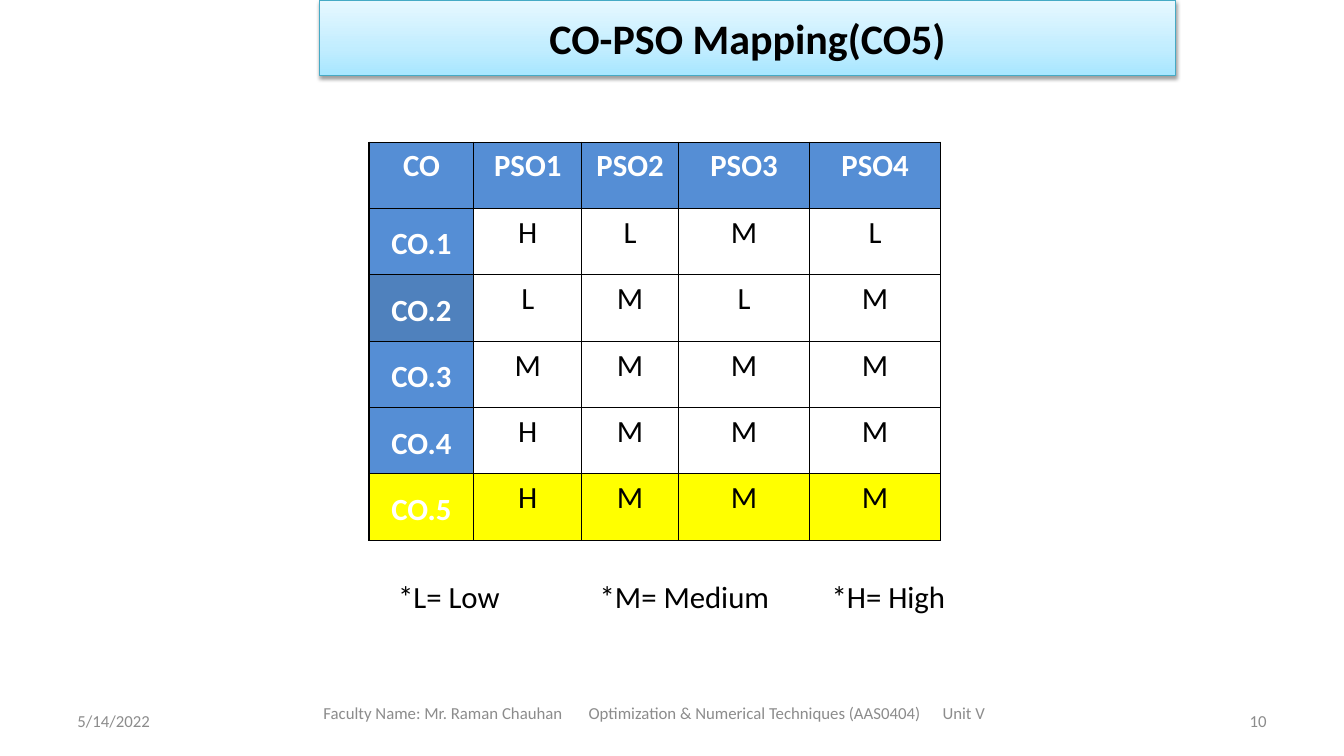
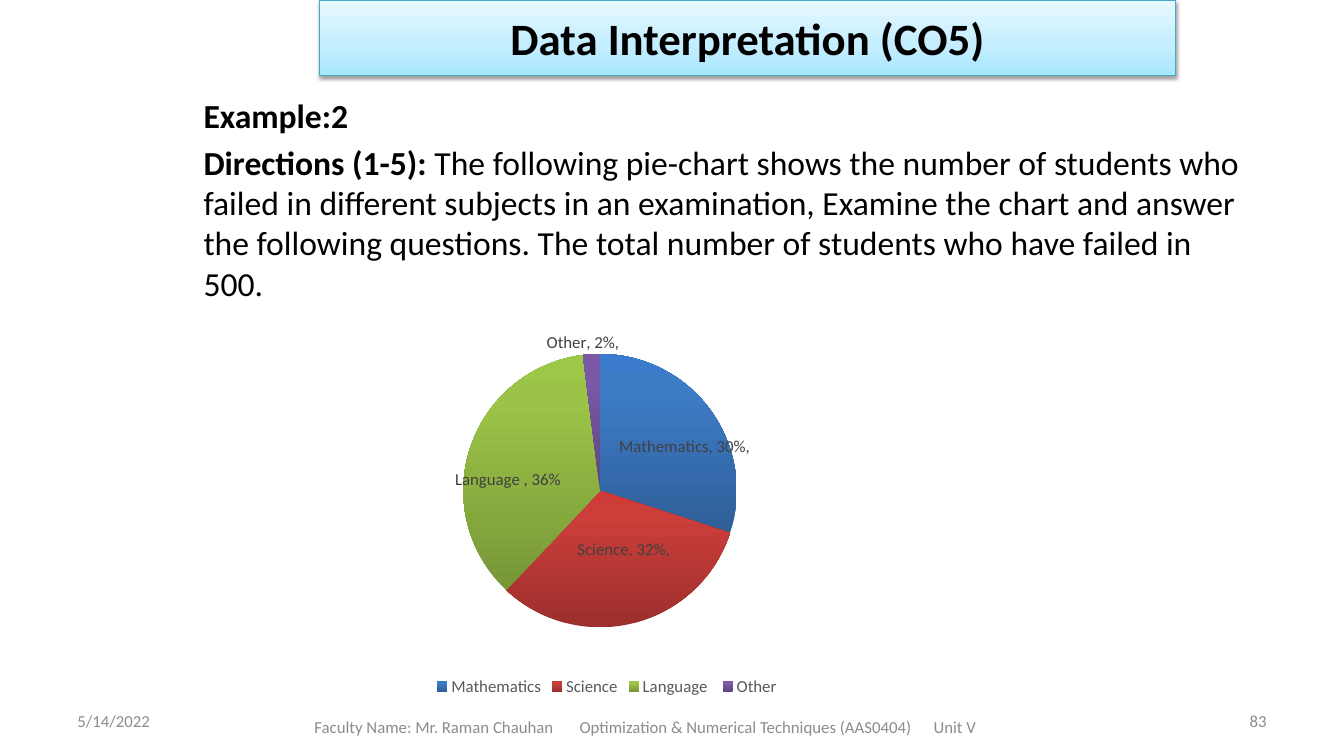
from copy import deepcopy
from dataclasses import dataclass

from lxml.etree import SubElement
from pptx import Presentation
from pptx.chart.data import CategoryChartData
from pptx.dml.color import RGBColor
from pptx.enum.chart import XL_CHART_TYPE, XL_LABEL_POSITION, XL_LEGEND_POSITION
from pptx.enum.shapes import MSO_SHAPE
from pptx.enum.text import MSO_ANCHOR, PP_ALIGN
from pptx.oxml import parse_xml
from pptx.oxml.ns import nsdecls, qn
from pptx.util import Inches, Pt


@dataclass(frozen=True)
class Theme:
    """Colours and type sizes shared by the slides."""
    font: str = "Calibri"
    black: str = "000000"
    white: str = "FFFFFF"
    footer_grey: str = "8C8C8C"
    legend_grey: str = "595959"
    label_grey: str = "404040"
    band_line: str = "46AAC5"
    band_stops: tuple = ((0, "A7E6FF"), (0.35, "C1EDFF"), (1, "E7F8FF"))
    head_blue: str = "558ED5"
    dark_blue: str = "4F81BD"
    highlight: str = "FFFF00"
    small: int = 12
    grid: int = 22
    body: int = 24


THEME = Theme()
COURSE = ("Faculty Name: Mr. Raman Chauhan",
          "Optimization & Numerical Techniques (AAS0404)", "Unit V")
RATINGS = {"CO": ("PSO1", "PSO2", "PSO3", "PSO4"), "CO.1": "HLML", "CO.2": "LMLM",
           "CO.3": "MMMM", "CO.4": "HMMM", "CO.5": "HMMM"}
SUBJECTS = (
    ("Mathematics", 0.3, "Mathematics, 30%, ", (0.07, 0.06), ("2F5F99", "3D7CC7", "3A7CCB")),
    ("Science", 0.32, "Science, 32%, ", (0.06, -0.15), ("9C2F2D", "CB3E3A", "CE3B37")),
    ("Language ", 0.36, "Language , 36%", (-0.03, 0.05), ("779737", "9BC348", "9DC746")),
    ("Other", 0.02, "Other, 2%, ", (-0.01, -0.07), ("5F4480", "7B58A6", "7C57A8")),
)


def style_font(font, size, color, bold=False):
    """Apply the theme typeface with a size, colour and weight."""
    for name, value in {"name": THEME.font, "size": Pt(size), "bold": bold}.items():
        setattr(font, name, value)
    font.color.rgb = RGBColor.from_string(color)


def write(paragraph, words, size, color=THEME.black, bold=False, align=PP_ALIGN.LEFT):
    """Add a styled run to a paragraph."""
    paragraph.alignment = align
    run = paragraph.add_run()
    run.text = words
    style_font(run.font, size, color, bold)


def set_tabs(paragraph, stops):
    """Give a paragraph left tab stops, in inches."""
    tabs = SubElement(paragraph._p.get_or_add_pPr(), qn("a:tabLst"))
    for stop in stops:
        SubElement(tabs, qn("a:tab"), pos=str(Inches(stop)), algn="l")


def add_text_area(slide, box, anchor=MSO_ANCHOR.MIDDLE):
    """Add a wrapping text area and return its frame."""
    frame = slide.shapes.add_textbox(*map(Inches, box)).text_frame
    frame.word_wrap = True
    frame.vertical_anchor = anchor
    return frame


def paint_gradient(fill, stops):
    """Fill upwards through three colour stops."""
    fill.gradient()
    fill.gradient_angle = 90
    stop_list = fill.gradient_stops._gsLst
    stop_list.insert(1, deepcopy(stop_list[0]))
    for stop, (position, color) in zip(fill.gradient_stops, stops):
        stop.position = position
        stop.color.rgb = RGBColor.from_string(color)


def add_title_band(slide, box, title, size):
    """Draw the shaded title band."""
    band = slide.shapes.add_shape(MSO_SHAPE.RECTANGLE, *map(Inches, box))
    paint_gradient(band.fill, THEME.band_stops)
    band.line.color.rgb = RGBColor.from_string(THEME.band_line)
    band.line.width = Pt(0.75)
    band.shadow.inherit = False
    effects = band._element.spPr.find(qn("a:effectLst"))
    effects.append(parse_xml(
        f'<a:outerShdw {nsdecls("a")} blurRad="{Pt(3.1)}" dist="{Pt(1.6)}" dir="5400000" '
        f'rotWithShape="0"><a:srgbClr val="{THEME.black}"><a:alpha val="38000"/>'
        '</a:srgbClr></a:outerShdw>'))
    band.text_frame.vertical_anchor = MSO_ANCHOR.MIDDLE
    write(band.text_frame.paragraphs[0], title, size, bold=True, align=PP_ALIGN.CENTER)


def add_footer(slide, number, course_box):
    """Place the date, course line and slide number."""
    for left, words, align in ((0.67, "5/14/2022", PP_ALIGN.LEFT),
                               (9.55, number, PP_ALIGN.RIGHT)):
        frame = add_text_area(slide, (left, 6.95, 3.11, 0.4))
        write(frame.paragraphs[0], words, THEME.small, THEME.footer_grey, align=align)
    course = add_text_area(slide, course_box).paragraphs[0]
    set_tabs(course, (2.63, 6.14))
    write(course, "\t".join(COURSE), THEME.small, THEME.footer_grey)


def add_framed_slide(deck, title, size, number, course_box):
    """Start a blank slide with the shared band and footer."""
    slide = deck.slides.add_slide(deck.slide_layouts[6])
    add_title_band(slide, (3.17, 0, 8.49, 0.75), title, size)
    add_footer(slide, number, course_box)
    return slide


def style_cell(cell, words, fill, heading, anchor):
    """Write, border and fill one table cell."""
    margins = {"margin_left": 0.07, "margin_right": 0.07, "margin_top": 0, "margin_bottom": 0}
    for name, value in margins.items():
        setattr(cell, name, Inches(value))
    cell.vertical_anchor = anchor
    properties = cell._tc.get_or_add_tcPr()
    for side in ("lnL", "lnR", "lnT", "lnB"):
        properties.append(parse_xml(
            f'<a:{side} {nsdecls("a")} w="{Pt(1)}"><a:solidFill>'
            f'<a:srgbClr val="{THEME.black}"/></a:solidFill></a:{side}>'))
    cell.fill.solid()
    cell.fill.fore_color.rgb = RGBColor.from_string(fill)
    paragraph = cell.text_frame.paragraphs[0]
    paragraph.line_spacing = 1.15
    write(paragraph, words, THEME.grid, THEME.white if heading else THEME.black,
          heading, PP_ALIGN.CENTER)


def add_ratings_table(slide, box):
    """Draw the outcome ratings in a grid."""
    table = slide.shapes.add_table(len(RATINGS), 5, *map(Inches, box)).table
    for column, width in zip(table.columns, (1.04, 1.07, 0.96, 1.3, 1.3)):
        column.width = Inches(width)
    row_fills = {"CO": THEME.head_blue, "CO.5": THEME.highlight}
    outcome_fills = {"CO.2": THEME.dark_blue, "CO.5": THEME.highlight}
    for row, (outcome, ratings) in enumerate(RATINGS.items()):
        table.rows[row].height = Inches(box[3] / len(RATINGS))
        for column, words in enumerate((outcome, *ratings)):
            first = column == 0
            fill = (outcome_fills.get(outcome, THEME.head_blue) if first
                    else row_fills.get(outcome, THEME.white))
            anchor = MSO_ANCHOR.MIDDLE if first and row else MSO_ANCHOR.TOP
            style_cell(table.cell(row, column), words, fill, first or row == 0, anchor)


def add_rating_key(slide, box):
    """Explain the rating letters below the grid."""
    key = add_text_area(slide, box).paragraphs[0]
    set_tabs(key, (2, 4.3))
    write(key, "*L= Low\t*M= Medium\t*H= High", THEME.grid)


def add_directions(slide, box):
    """Write the example heading and its directions."""
    frame = add_text_area(slide, box, MSO_ANCHOR.TOP)
    write(frame.paragraphs[0], "Example:2", THEME.body, bold=True)
    directions = frame.add_paragraph()
    directions.space_before = Pt(4.8)
    write(directions, "Directions (1-5): ", THEME.body, bold=True)
    write(directions, "The following pie-chart shows the number of students who failed in "
          "different subjects in an examination, Examine the chart and answer the following "
          "questions. The total number of students who have failed in 500.", THEME.body)


def manual_layout(inner):
    """Build a chart layout element from its settings."""
    return parse_xml(f'<c:layout {nsdecls("c")}><c:manualLayout>{inner}'
                     '</c:manualLayout></c:layout>')


def layout_values(**fractions):
    """List layout fractions as chart markup."""
    return "".join(f'<c:{name} val="{value}"/>' for name, value in fractions.items())


def place_plot(chart, **fractions):
    """Fix the inner plot area as fractions of the chart."""
    area = chart._chartSpace.chart.plotArea
    for layout in area.findall(qn("c:layout")):
        area.remove(layout)
    area.insert(0, manual_layout(
        layout_values(layoutTarget="inner", xMode="edge", yMode="edge", **fractions)))


def add_slice_label(point, caption, shift):
    """Caption a slice and shift it by fractions of the chart."""
    label = point.data_label
    label.text_frame.word_wrap = False
    write(label.text_frame.paragraphs[0], caption, THEME.small, THEME.label_grey,
          align=PP_ALIGN.CENTER)
    label.position = XL_LABEL_POSITION.INSIDE_END
    element = label._dLbl
    for layout in element.findall(qn("c:layout")):
        element.remove(layout)
    element.insert(1, manual_layout(layout_values(x=shift[0], y=shift[1])))


def add_failures_pie(slide, box):
    """Chart the share of failures by subject."""
    data = CategoryChartData(number_format="0%")
    data.categories = [subject for subject, *_ in SUBJECTS]
    data.add_series("Series 1", [share for _, share, *_ in SUBJECTS])
    chart = slide.shapes.add_chart(XL_CHART_TYPE.PIE, *map(Inches, box), data).chart
    style_font(chart.font, 10, THEME.black)
    chart.has_title = False
    chart.has_legend = True
    chart.legend.position = XL_LEGEND_POSITION.BOTTOM
    chart.legend.include_in_layout = False
    style_font(chart.legend.font, THEME.small, THEME.legend_grey)
    place_plot(chart, x=0.29, y=0.1, w=0.4, h=0.71)
    plot = chart.plots[0]
    plot.vary_by_categories = True
    series = plot.series[0]
    shown = {"show_value": True, "show_percentage": True, "show_category_name": True,
             "number_format": "0%", "number_format_is_linked": False,
             "position": XL_LABEL_POSITION.INSIDE_END}
    for name, value in shown.items():
        setattr(series.data_labels, name, value)
    style_font(series.data_labels.font, THEME.small, THEME.label_grey)
    for index, (_, _, caption, shift, colors) in enumerate(SUBJECTS):
        point = series.points[index]
        paint_gradient(point.format.fill, zip((0, 0.8, 1), colors))
        add_slice_label(point, caption, shift)


def build_mapping_slide(deck):
    """Build the outcome mapping slide."""
    slide = add_framed_slide(deck, "CO-PSO Mapping(CO5)", 30, "10", (3.11, 6.95, 6.83, 0.25))
    add_ratings_table(slide, (3.66, 1.41, 5.67, 3.95))
    add_rating_key(slide, (3.85, 5.66, 6, 0.5))


def build_pie_slide(deck):
    """Build the data interpretation slide."""
    slide = add_framed_slide(deck, "Data Interpretation (CO5)", 32, "83", (3.02, 7.07, 7.02, 0.28))
    add_directions(slide, (1.92, 0.89, 10.61, 2.2))
    add_failures_pie(slide, (2.61, 3.13, 6.82, 3.82))


def main():
    """Create and save the deck."""
    deck = Presentation()
    deck.slide_width, deck.slide_height = Inches(13.33), Inches(7.5)
    build_mapping_slide(deck)
    build_pie_slide(deck)
    deck.save("out.pptx")


if __name__ == "__main__":
    main()
